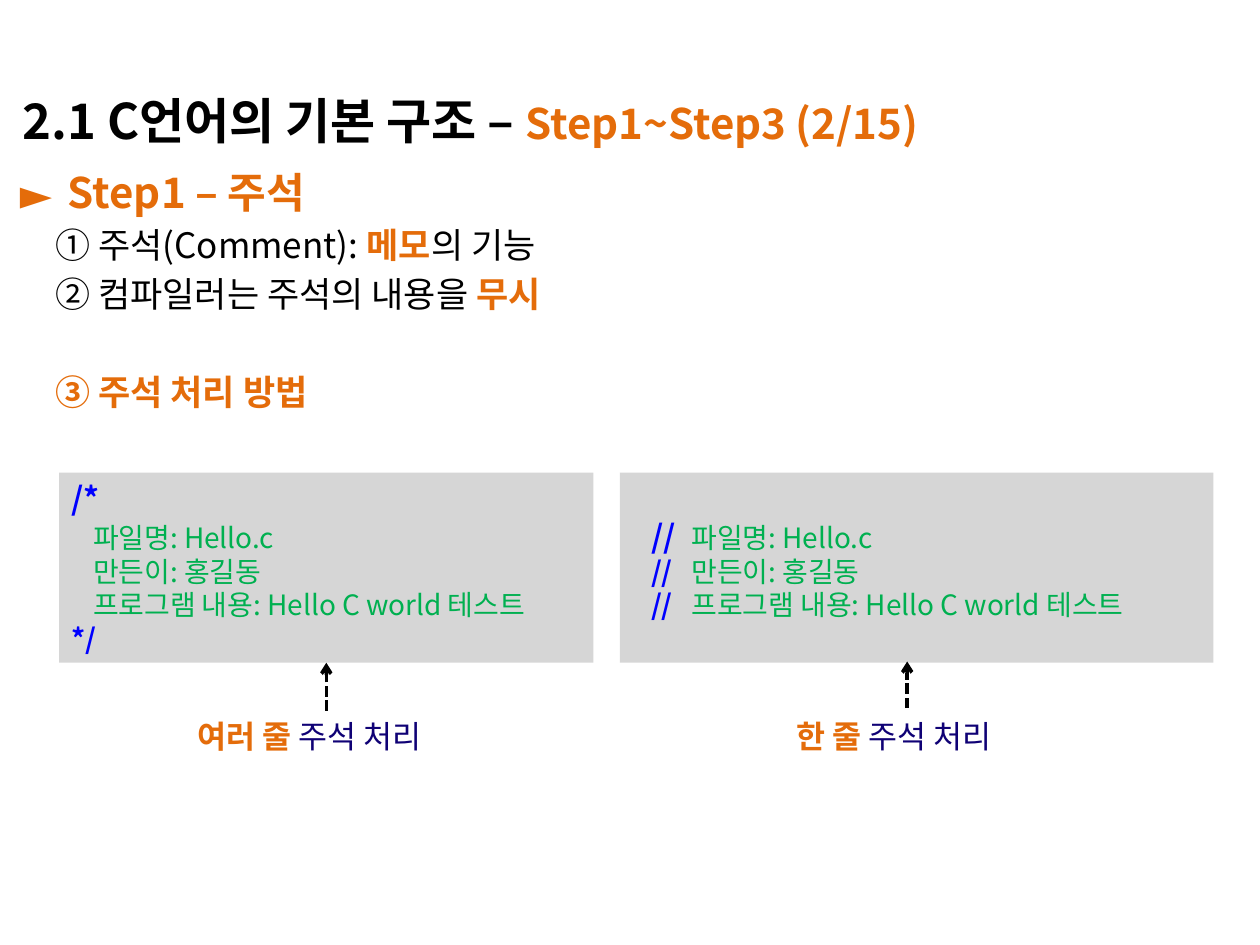
from lxml.etree import SubElement
from pptx import Presentation
from pptx.dml.color import RGBColor
from pptx.enum.dml import MSO_LINE
from pptx.enum.shapes import MSO_CONNECTOR, MSO_SHAPE
from pptx.enum.text import MSO_ANCHOR, PP_ALIGN
from pptx.oxml.ns import qn
from pptx.util import Inches, Pt

FONT = "Noto Sans CJK KR"
BLACK, ORANGE, BLUE = "000000", "E46C0A", "0000FF"
GREEN, NAVY, GRAY = "00B050", "0F0175", "808080"


def color(value):
    return RGBColor.from_string(value)


def write_paragraph(paragraph, runs, line=None, before=0, indent=(0, 0), bullet=None):
    """Write runs of (text, size, color, bold) with spacing in points and indents in inches."""
    paragraph.alignment = PP_ALIGN.LEFT
    paragraph.space_before = Pt(before)
    if line:
        paragraph.line_spacing = Pt(line)
    properties = paragraph._p.get_or_add_pPr()
    properties.set("marL", str(Inches(indent[0])))
    properties.set("indent", str(Inches(indent[1])))
    if bullet:
        SubElement(properties, qn("a:buFont"), typeface=FONT)
        SubElement(properties, qn("a:buChar"), char=bullet)
    for text, size, run_color, bold in runs:
        run = paragraph.add_run()
        run.text = text
        run.font.name = FONT
        run.font.size = Pt(size)
        run.font.bold = bold
        run.font.color.rgb = color(run_color)
        SubElement(run._r.get_or_add_rPr(), qn("a:ea"), typeface=FONT)


def fill_text(shape, paragraphs, anchor=MSO_ANCHOR.TOP):
    """Write a list of keyword sets, one for each paragraph."""
    frame = shape.text_frame
    frame.word_wrap = True
    frame.vertical_anchor = anchor
    for index, options in enumerate(paragraphs):
        paragraph = frame.add_paragraph() if index else frame.paragraphs[0]
        write_paragraph(paragraph, **options)


def add_text(slide, left, top, width, height, paragraphs, anchor=MSO_ANCHOR.TOP):
    shape = slide.shapes.add_textbox(Inches(left), Inches(top), Inches(width), Inches(height))
    fill_text(shape, paragraphs, anchor)
    return shape


def add_code_box(slide, left, width, paragraphs, top_inset=0.05):
    shape = slide.shapes.add_shape(
        MSO_SHAPE.RECTANGLE, Inches(left), Inches(3.75), Inches(width), Inches(1.51))
    shape.shadow.inherit = False
    shape.fill.solid()
    shape.fill.fore_color.rgb = color(GRAY)
    fill_color = shape._element.spPr.find(qn("a:solidFill"))[0]
    SubElement(fill_color, qn("a:alpha"), val="32000")
    shape.line.fill.background()
    shape.text_frame.margin_top = Inches(top_inset)
    fill_text(shape, paragraphs)
    return shape


def add_label(slide, left, width, strong):
    runs = [(strong, 18, ORANGE, True), (" 주석 처리", 18, NAVY, False)]
    return add_text(slide, left, 5.64, width, 0.4, [dict(runs=runs, line=21.6)])


def add_arrow(slide, x, start, end):
    connector = slide.shapes.add_connector(
        MSO_CONNECTOR.STRAIGHT, Inches(x), Inches(start), Inches(x), Inches(end))
    connector.line.color.rgb = color(BLACK)
    connector.line.width = Pt(2)
    connector.line.dash_style = MSO_LINE.SQUARE_DOT
    SubElement(connector.line._get_or_add_ln(), qn("a:tailEnd"), type="arrow")
    SubElement(connector._element.spPr, qn("a:effectLst"))
    return connector


def main():
    presentation = Presentation()
    presentation.slide_width, presentation.slide_height = Inches(10), Inches(7.5)
    slide = presentation.slides.add_slide(presentation.slide_layouts[6])

    # Title
    title = [("2.1 C언어의 기본 구조 – ", 28, BLACK, True),
             ("Step1~Step3 (2/15)", 24, ORANGE, True)]
    add_text(slide, 0.08, 0.72, 9.92, 0.47, [dict(runs=title)], MSO_ANCHOR.MIDDLE)

    # Explanation of comments
    item = dict(line=24, before=4, indent=(0.59, -0.31))
    add_text(slide, 0.06, 1.27, 9.94, 5.69, [
        dict(runs=[("Step1 – 주석", 24, ORANGE, True)], line=28.8,
             indent=(0.38, -0.38), bullet="►"),
        dict(item, runs=[("① 주석(Comment): ", 20, BLACK, False),
                         ("메모", 20, ORANGE, True), ("의 기능", 20, BLACK, False)]),
        dict(item, runs=[("② 컴파일러는 주석의 내용을 ", 20, BLACK, False),
                         ("무시", 20, ORANGE, True)]),
        dict(item, runs=[("③ 주석 처리 방법", 20, ORANGE, True)], before=32),
    ])

    # Code boxes: block comment and line comments
    code_lines = ["파일명: Hello.c", "만든이: 홍길동", "프로그램 내용: Hello C world 테스트"]
    sizes = [18, 16, 16]
    block = [dict(runs=[("/*", 18, BLUE, True)], line=21.6)]
    single = []
    for text, size in zip(code_lines, sizes):
        code = (text, 16, GREEN, False)
        block.append(dict(runs=[code], line=size * 1.2, indent=(0.17, 0)))
        single.append(dict(runs=[("//\t", size, BLUE, True), code],
                           line=size * 1.2, indent=(0.47, -0.32)))
    block.append(dict(runs=[("*/", 16, BLUE, True)], line=19.2))
    block_box = add_code_box(slide, 0.47, 4.24, block)
    add_code_box(slide, 4.92, 4.71, single, top_inset=0.35)

    # Labels and arrows
    block_label = add_label(slide, 1.47, 2.24, "여러 줄")
    add_label(slide, 6.22, 1.98, "한 줄")
    block_arrow = add_arrow(slide, 2.59, 5.64, 5.26)
    block_arrow.begin_connect(block_label, 0)
    block_arrow.end_connect(block_box, 2)
    add_arrow(slide, 7.2, 5.62, 5.25)

    presentation.save("out.pptx")


if __name__ == "__main__":
    main()
